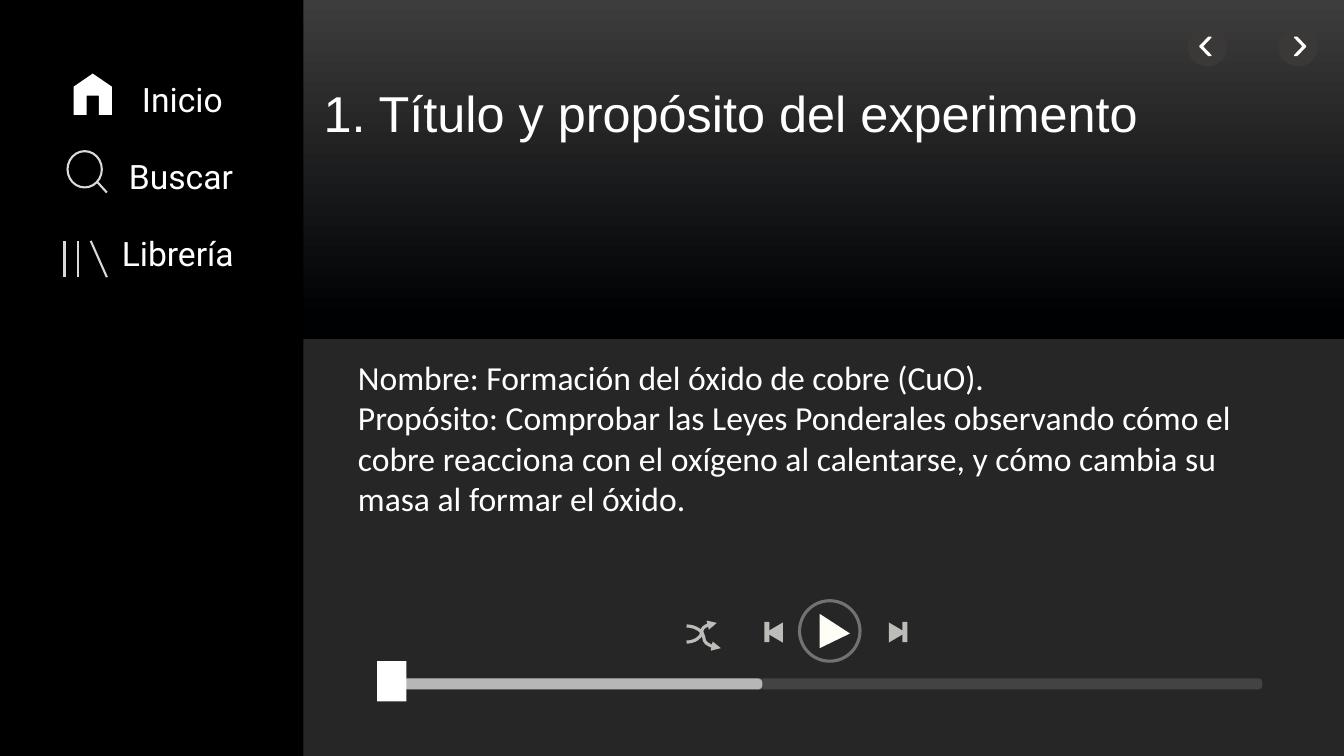
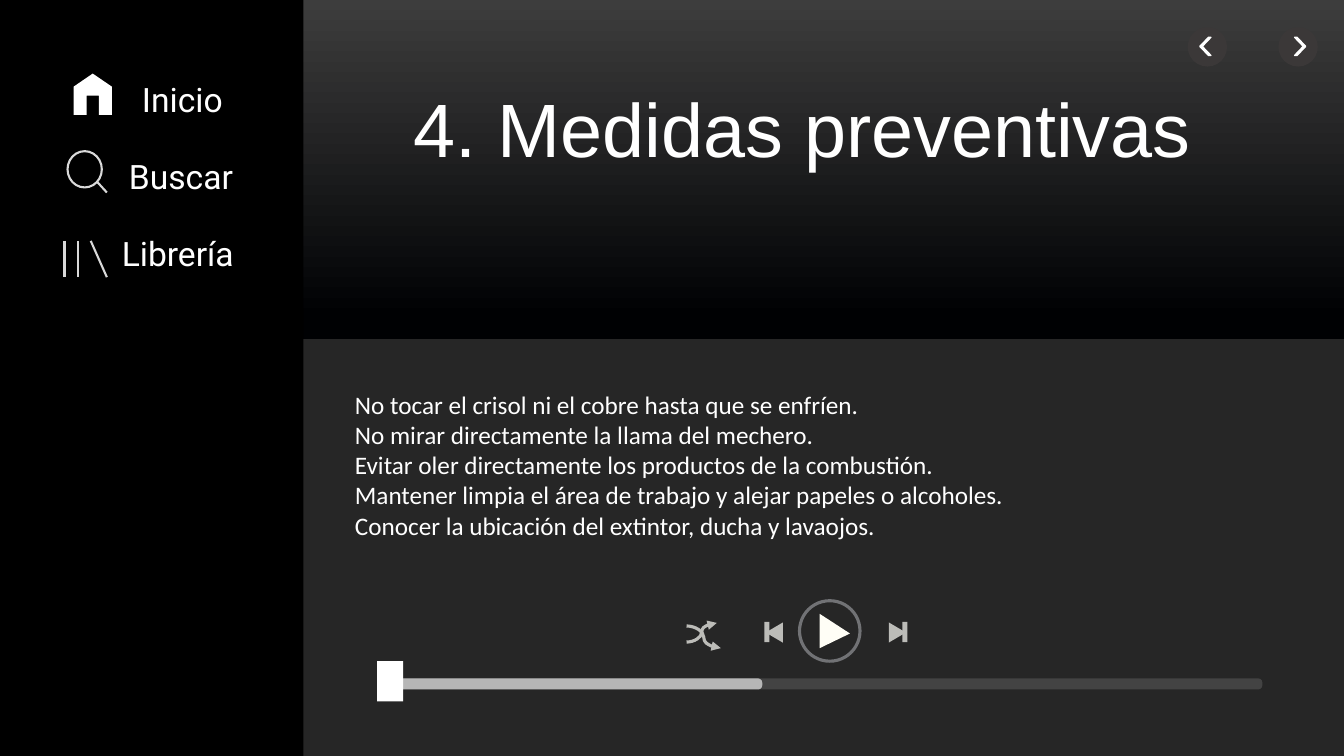
import pptx
import pptx.util
import pptx.dml.color
import pptx.enum.shapes
import pptx.enum.text
import pptx.oxml.ns
import lxml.etree

SHAPE = pptx.enum.shapes.MSO_SHAPE
LINE = pptx.enum.shapes.MSO_CONNECTOR
WIDTH, HEIGHT = 13.33, 7.5
SIDEBAR, HEADER = 3.01, 3.36
TRACK_LEFT, TRACK_TOP, TRACK_WIDTH = 3.74, 6.73, 8.78
MENU_TOP, MENU_STEP = 0.73, 0.765
WHITE, BLACK, BACKDROP = "FFFFFF", "000000", "262626"
ICON, CONTROL = "D9D9D9", "BCBCB8"

SLIDES = [
    {
        "title": "1. Título y propósito del experimento",
        "title_box": (3.11, 0.76, 8.67, 0.71),
        "title_size": 36,
        "body": [
            "Nombre: Formación del óxido de cobre (CuO).",
            "Propósito: Comprobar las Leyes Ponderales observando cómo el cobre reacciona "
            "con el oxígeno al calentarse, y cómo cambia su masa al formar el óxido.",
        ],
        "body_box": (3.45, 3.49, 8.94, 1.72),
        "body_size": 24,
        "handle": 0.29,
    },
    {
        "title": "4. Medidas preventivas",
        "title_box": (4, 0.76, 8.02, 1.01),
        "title_size": 54,
        "body": [
            "No tocar el crisol ni el cobre hasta que se enfríen.",
            "No mirar directamente la llama del mechero.",
            "Evitar oler directamente los productos de la combustión.",
            "Mantener limpia el área de trabajo y alejar papeles o alcoholes.",
            "Conocer la ubicación del extintor, ducha y lavaojos.",
        ],
        "body_box": (3.42, 3.81, 8.94, 1.62),
        "body_size": 18,
        "handle": 0.26,
    },
]

MENU = [("Inicio", 1.31, 1.45), ("Buscar", 1.18, 1.45), ("Librería", 1.11, 1.67)]
HOUSE = [(92, 73), (111, 86), (111, 114), (98, 114), (98, 95),
         (86, 95), (86, 114), (73, 114), (73, 86)]
MENU_STROKES = {
    "Buscar": [((0.96, 1.8), (1.06, 1.91))],
    "Librería": [((0.64, 2.39), (0.64, 2.75)), ((0.77, 2.39), (0.77, 2.75)),
                 ((0.9, 2.39), (1.06, 2.75))],
}
SHUFFLE = [((6.81, 6.37), (7.11, 6.18)), ((6.81, 6.21), (7.15, 6.43))]

PAGE_ARROW = [
    (SHAPE.OVAL, (0, 0, 0.39, 0.39), 0, {"fill": "3B3838"}),
    (SHAPE.CHEVRON, (0.16, 0.1, 0.11, 0.18), 0,
     {"fill": WHITE, "line": WHITE, "weight": 1, "adjust": 0.783}),
]
SKIP = [
    (SHAPE.ISOSCELES_TRIANGLE, (0, 0.02, 0.2, 0.17), 90, {"fill": CONTROL}),
    (SHAPE.RECTANGLE, (0.15, 0, 0.05, 0.2), 0, {"fill": CONTROL}),
]
PLAY = [
    (SHAPE.OVAL, (0, 0, 0.6, 0.6), 0, {"line": "717275", "weight": 2.25}),
    (SHAPE.ISOSCELES_TRIANGLE, (0.18, 0.15, 0.34, 0.3), 90,
     {"fill": "FFFEF6", "adjust": 0.574}),
]
BUTTONS = [
    (PAGE_ARROW, 12.68, 0.27, 0.39, False),
    (PAGE_ARROW, 11.78, 0.27, 0.39, True),
    (PLAY, 7.93, 5.96, 0.6, False),
    (SKIP, 8.8, 6.17, 0.2, False),
    (SKIP, 7.58, 6.17, 0.2, True),
]


def color(code):
    return pptx.dml.color.RGBColor.from_string(code)


def inches(values):
    return [pptx.util.Inches(value) for value in values]


def apply(target, values):
    for name, value in values.items():
        setattr(target, name, value)


def paint(shape, fill=None, line=None, weight=1.0, adjust=None):
    shape.shadow.inherit = False
    if fill:
        shape.fill.solid()
        shape.fill.fore_color.rgb = color(fill)
    else:
        shape.fill.background()
    if line:
        shape.line.color.rgb = color(line)
        shape.line.width = pptx.util.Pt(weight)
    else:
        shape.line.fill.background()
    if adjust is not None:
        shape.adjustments[0] = adjust
    return shape


def add_figure(shapes, preset, box, **look):
    return paint(shapes.add_shape(preset, *inches(box)), **look)


def add_stroke(shapes, kind, start, end, code, weight, arrow=False):
    stroke = shapes.add_connector(kind, *inches(start + end))
    stroke.line.color.rgb = color(code)
    stroke.line.width = pptx.util.Pt(weight)
    if arrow:
        outline = stroke.line._get_or_add_ln()
        lxml.etree.SubElement(outline, pptx.oxml.ns.qn("a:tailEnd"), type="triangle")
    lxml.etree.SubElement(stroke._element.spPr, pptx.oxml.ns.qn("a:effectLst"))


def write(frame, lines, font, size):
    frame.text = "\n".join(lines)
    apply(frame, {
        "word_wrap": True,
        "auto_size": pptx.enum.text.MSO_AUTO_SIZE.SHAPE_TO_FIT_TEXT,
        "vertical_anchor": pptx.enum.text.MSO_ANCHOR.TOP,
    })
    for paragraph in frame.paragraphs:
        properties = paragraph._p.get_or_add_pPr()
        apply_indent = {"marL": "0", "indent": "0"}
        for name, value in apply_indent.items():
            properties.set(name, value)
        lxml.etree.SubElement(properties, pptx.oxml.ns.qn("a:buNone"))
        apply(paragraph, {
            "alignment": pptx.enum.text.PP_ALIGN.LEFT,
            "space_before": pptx.util.Pt(0),
        })
        for run in paragraph.runs:
            apply(run.font, {"name": font, "size": pptx.util.Pt(size)})
            run.font.color.rgb = color(WHITE)


def fill_placeholder(placeholder, box, lines, font, size):
    apply(placeholder, dict(zip(("left", "top", "width", "height"), inches(box))))
    write(placeholder.text_frame, lines, font, size)
    tree = placeholder._element.getparent()
    tree.append(placeholder._element)


def add_bands(slide):
    header = add_figure(slide.shapes, SHAPE.RECTANGLE, (-0.24, 0, WIDTH + 0.24, HEADER))
    header.fill.gradient()
    header.fill.gradient_angle = 90
    for stop, (position, code) in zip(header.fill.gradient_stops,
                                      [(0.06, "000103"), (1, "3D3D3D")]):
        stop.position = position
        stop.color.rgb = color(code)
    add_figure(slide.shapes, SHAPE.RECTANGLE, (0, 0, SIDEBAR, HEIGHT + 0.12), fill=BLACK)


def add_button(slide, parts, left, top, size, mirrored):
    group = slide.shapes.add_group_shape()
    for preset, (x, y, width, height), turn, look in parts:
        offset = size - x - width if mirrored else x
        part = add_figure(group.shapes, preset, (left + offset, top + y, width, height), **look)
        part.rotation = turn + 180 * mirrored


def add_menu(slide):
    for row, (label, left, width) in enumerate(MENU):
        shapes = slide.shapes.add_group_shape().shapes
        if label == "Inicio":
            outline = shapes.build_freeform(*HOUSE[0], scale=pptx.util.Inches(0.01))
            outline.add_line_segments(HOUSE[1:], close=True)
            paint(outline.convert_to_shape(), fill=WHITE)
        if label == "Buscar":
            add_figure(shapes, SHAPE.OVAL, (0.67, 1.5, 0.34, 0.36), line=ICON, weight=1.5)
        for start, end in MENU_STROKES.get(label, []):
            add_stroke(shapes, LINE.STRAIGHT, start, end, ICON, 1.5)
        entry = shapes.add_textbox(*inches((left, MENU_TOP + row * MENU_STEP, width, 0.5)))
        write(entry.text_frame, [label], "Roboto", 24)


def add_player(slide, handle):
    track = slide.shapes.add_group_shape().shapes
    for width, code in [(TRACK_WIDTH, "434343"), (3.82, "B6B6B6")]:
        add_figure(track, SHAPE.ROUNDED_RECTANGLE, (TRACK_LEFT, TRACK_TOP, width, 0.11),
                   fill=code, adjust=0.379)
    shuffle = slide.shapes.add_group_shape().shapes
    for start, end in SHUFFLE:
        add_stroke(shuffle, LINE.CURVE, start, end, CONTROL, 2.25, arrow=True)
    add_figure(slide.shapes, SHAPE.RECTANGLE, (TRACK_LEFT, 6.56, handle, 0.4), fill=WHITE)


def add_slide(deck, content):
    slide = deck.slides.add_slide(deck.slide_layouts[1])
    add_bands(slide)
    add_menu(slide)
    for button in BUTTONS:
        add_button(slide, *button)
    add_player(slide, content["handle"])
    fill_placeholder(slide.placeholders[1], content["body_box"], content["body"],
                     "Calibri", content["body_size"])
    fill_placeholder(slide.shapes.title, content["title_box"], [content["title"]],
                     "Arial", content["title_size"])


def main():
    deck = pptx.Presentation()
    apply(deck, {"slide_width": pptx.util.Inches(WIDTH),
                 "slide_height": pptx.util.Inches(HEIGHT)})
    backdrop = deck.slide_master.background.fill
    backdrop.solid()
    backdrop.fore_color.rgb = color(BACKDROP)
    for content in SLIDES:
        add_slide(deck, content)
    deck.save("out.pptx")


if __name__ == "__main__":
    main()
